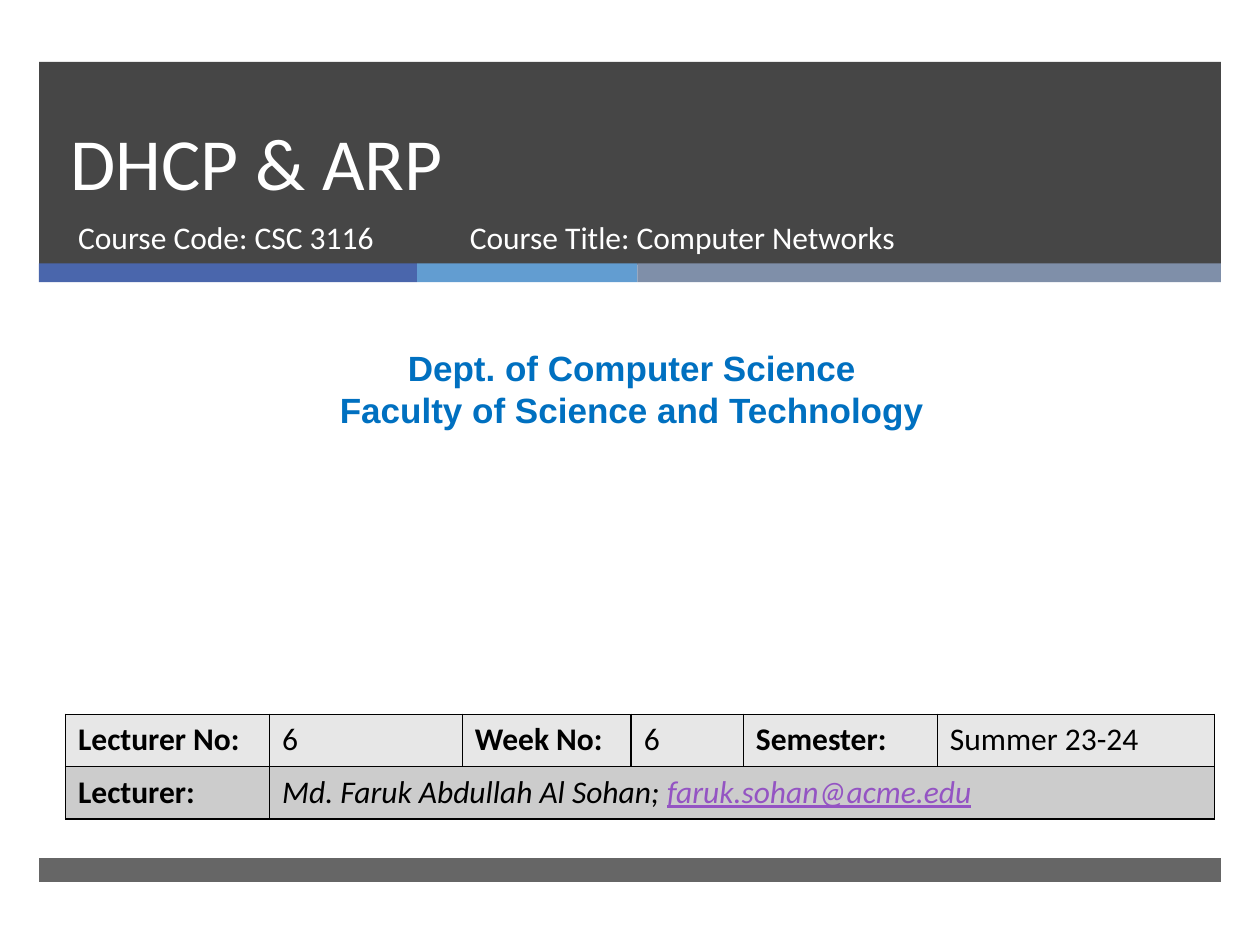
"""Build the cover slide of a computer networks lecture on DHCP and ARP."""
from lxml.etree import SubElement
from pptx import Presentation
from pptx.dml.color import RGBColor
from pptx.enum.shapes import MSO_SHAPE
from pptx.enum.text import MSO_ANCHOR, MSO_AUTO_SIZE, PP_ALIGN
from pptx.oxml import parse_xml
from pptx.oxml.ns import nsdecls, qn
from pptx.util import Inches, Pt

THEME = {
    "dark": "262626", "accents": ("4A66AC", "629DD1", "7F8FA9"),
    "white": "FFFFFF", "black": "000000", "department": "0070C0", "email": "9454C3",
    "rows": ("E7E7E7", "CCCCCC"),
    "title_size": 42, "department_size": 20, "text_size": 18,
    "font": "Calibri", "department_font": "Arial",
}


def write(paragraph, text, color, size=THEME["text_size"], **formats):
    run = paragraph.add_run()
    run.text = text
    run.font.color.rgb = RGBColor.from_string(color)
    values = {"name": THEME["font"], "size": Pt(size), "bold": False} | formats
    for attribute, value in values.items():
        setattr(run.font, attribute, value)


def place(holder, box, anchor=MSO_ANCHOR.TOP):
    for side, length in zip(("left", "top", "width", "height"), box):
        setattr(holder, side, Inches(length))
    formats = {"word_wrap": True, "auto_size": MSO_AUTO_SIZE.NONE, "vertical_anchor": anchor}
    for attribute, value in formats.items():
        setattr(holder.text_frame, attribute, value)
    return holder.text_frame.paragraphs[0]


deck = Presentation()
deck.slide_width, deck.slide_height = Inches(10), Inches(7.5)
slide = deck.slides.add_slide(deck.slide_layouts[0])
shapes = slide.shapes

bands = [(0.31, 0.49, 9.38, 1.61, THEME["dark"], 85)]
stripe_left = 0.31
for stripe_width, accent in zip((3, 1.75, 4.63), THEME["accents"]):
    bands.append((stripe_left, 2.09, stripe_width, 0.15, accent, 100))
    stripe_left += stripe_width
bands.append((0.31, 6.81, 9.38, 0.19, THEME["dark"], 70))

for depth, (left, top, width, height, color, opacity) in enumerate(bands, start=2):
    band = shapes.add_shape(
        MSO_SHAPE.RECTANGLE, Inches(left), Inches(top), Inches(width), Inches(height))
    band.shadow.inherit = False
    band.line.fill.background()
    band.fill.solid()
    band.fill.fore_color.rgb = RGBColor.from_string(color)
    if opacity < 100:
        tint = band.element.spPr.find(".//" + qn("a:srgbClr"))
        SubElement(tint, qn("a:alpha"), val=str(opacity * 1000))
    band.element.getparent().insert(depth, band.element)

heading = place(shapes.title, (0.46, 0.49, 8.54, 1.19), MSO_ANCHOR.BOTTOM)
heading.alignment = PP_ALIGN.LEFT
heading.line_spacing = Pt(46)
write(heading, "DHCP & ARP", THEME["white"], THEME["title_size"])

course_code = place(slide.placeholders[1], (0.52, 1.68, 3.05, 0.53))
course_title = place(shapes.add_textbox(0, 0, 0, 0), (3.63, 1.68, 4.55, 0.53))
for course, text in (
    (course_code, "Course Code: CSC 3116"),
    (course_title, "Course Title: Computer Networks"),
):
    course.alignment = PP_ALIGN.LEFT
    course.space_before = Pt(0)
    write(course, text, THEME["white"])

department_box = shapes.add_textbox(0, 0, 0, 0)
department = place(department_box, (0.08, 2.7, 9.87, 0.77))
faculty = department_box.text_frame.add_paragraph()
for unit, text in (
    (department, "Dept. of Computer Science"),
    (faculty, "Faculty of Science and Technology"),
):
    unit.alignment = PP_ALIGN.CENTER
    write(unit, text, THEME["department"], THEME["department_size"],
          name=THEME["department_font"], bold=True)

details = shapes.add_table(
    2, 6, Inches(0.52), Inches(5.67), Inches(9.12), Inches(0.83)).table
for column, width in zip(details.columns, (1.62, 1.53, 1.34, 0.89, 1.54, 2.2)):
    column.width = Inches(width)
details.cell(1, 1).merge(details.cell(1, 5))

for row, shade in zip(details.rows, THEME["rows"]):
    for cell in row.cells:
        cell.fill.solid()
        cell.fill.fore_color.rgb = RGBColor.from_string(shade)
        borders = cell.fill._xPr
        for position, edge in enumerate(("lnL", "lnR", "lnT", "lnB")):
            borders.insert(position, parse_xml(
                f'<a:{edge} {nsdecls("a")} w="12700"><a:solidFill>'
                f'<a:srgbClr val="{THEME["black"]}"/></a:solidFill></a:{edge}>'))

lecture = ("Lecturer No:", "6", "Week No:", "6", "Semester:", "Summer 23-24")
for index, text in enumerate(lecture):
    write(details.cell(0, index).text_frame.paragraphs[0], text, THEME["black"],
          bold=index % 2 == 0)
write(details.cell(1, 0).text_frame.paragraphs[0], "Lecturer:", THEME["black"], bold=True)
lecturer = details.cell(1, 1).text_frame.paragraphs[0]
write(lecturer, "Md. Faruk Abdullah Al Sohan; ", THEME["black"], italic=True)
write(lecturer, "faruk.sohan@acme.edu", THEME["email"], italic=True, underline=True)

deck.save("out.pptx")
